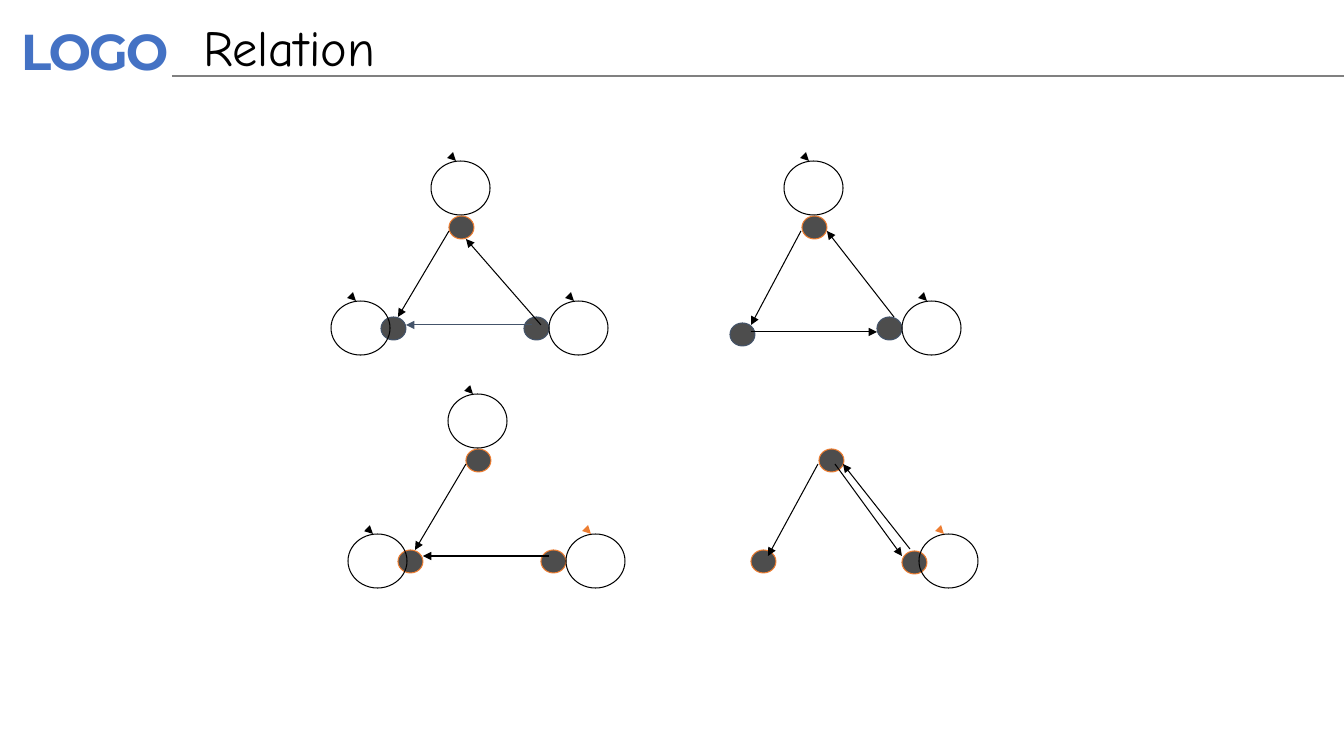
import pptx
import pptx.util
import pptx.dml.color
import pptx.enum.shapes
import pptx.enum.text
import pptx.oxml.ns
import lxml.etree

COLORS = {"blue": "4472C4", "rule": "808080", "black": "000000",
          "node": "4D4D4D", "orange": "ED7D31", "slate": "44546A"}
SCALE = 914400 / 100.8
NODE = (25, 23)
LOOP = (59, 54)
TIP = 25
LOOPS = {"top": (100, 0), "left": (0, 140), "right": (218, 140)}
TOP = (118, 55)

GRAPHS = [
    {"at": (331, 161),
     "nodes": [(TOP, "orange"), ((50, 156), "slate"), ((193, 156), "slate")],
     "loops": [("top", "black"), ("left", "black"), ("right", "black")],
     "arrows": [(118, 70, 67, 156, "black"), (201, 164, 75, 164, "slate"),
                (210, 164, 135, 78, "black")]},
    {"at": (684, 161),
     "nodes": [(TOP, "orange"), ((46, 162), "slate"), ((193, 156), "slate")],
     "loops": [("top", "black"), ("right", "black")],
     "arrows": [(117, 70, 67, 164, "black"), (210, 156, 143, 70, "black"),
                (67, 171, 193, 171, "black")]},
    {"at": (348, 394),
     "nodes": [(TOP, "orange"), ((50, 156), "orange"), ((193, 156), "orange")],
     "loops": [("top", "black"), ("left", "black"), ("right", "orange")],
     "arrows": [(118, 70, 67, 156, "black"), (201, 162, 75, 162, "black")]},
    {"at": (701, 394),
     "nodes": [(TOP, "orange"), ((50, 156), "orange"), ((201, 157), "orange")],
     "loops": [("right", "orange")],
     "arrows": [(134, 70, 201, 162, "black"), (117, 70, 67, 162, "black"),
                (209, 155, 142, 70, "black")]},
]


def px(*sizes):
    return [round(size * SCALE) for size in sizes]


def paint(name):
    return pptx.dml.color.RGBColor.from_string(COLORS[name])


def add_line(slide, ends, color, width=0.75, head=True):
    line = slide.shapes.add_connector(
        pptx.enum.shapes.MSO_CONNECTOR.STRAIGHT, *px(*ends))
    line.line.color.rgb = paint(color)
    line.line.width = pptx.util.Pt(width)
    qn = pptx.oxml.ns.qn
    if head:
        stroke = line.line._get_or_add_ln()
        lxml.etree.SubElement(stroke, qn("a:tailEnd")).set("type", "triangle")
    lxml.etree.SubElement(line._element.spPr, qn("a:effectLst"))


def add_ring(slide, x, y, size, edge, fill=None):
    ring = slide.shapes.add_shape(
        pptx.enum.shapes.MSO_SHAPE.OVAL, *px(x, y, *size))
    ring.shadow.inherit = False
    if fill:
        ring.fill.solid()
        ring.fill.fore_color.rgb = paint(fill)
    else:
        ring.fill.background()
    ring.line.color.rgb = paint(edge)
    ring.line.width = pptx.util.Pt(0.75)


def set_text(shape, text, face, color, bold):
    frame = shape.text_frame
    frame.text = text
    frame.word_wrap = True
    frame.auto_size = pptx.enum.text.MSO_AUTO_SIZE.NONE
    para = frame.paragraphs[0]
    para.alignment = pptx.enum.text.PP_ALIGN.LEFT
    para.font.name = face
    para.font.size = pptx.util.Pt(36)
    para.font.bold = bold
    para.font.color.rgb = paint(color)
    return frame


def add_graph(slide, graph):
    left, top = graph["at"]
    for (x, y), edge in graph["nodes"]:
        add_ring(slide, left + x, top + y, NODE, edge, "node")
    for side, color in graph["loops"]:
        x, y = left + LOOPS[side][0], top + LOOPS[side][1]
        add_ring(slide, x, y, LOOP, "black")
        add_line(slide, (x + TIP - 1, y - 1, x + TIP, y), color)
    for x1, y1, x2, y2, color in graph["arrows"]:
        add_line(slide, (left + x1, top + y1, left + x2, top + y2), color)


def main():
    deck = pptx.Presentation()
    deck.slide_width, deck.slide_height = px(1344, 756)
    slide = deck.slides.add_slide(deck.slide_layouts[5])

    title = slide.shapes.title
    title.left, title.top, title.width, title.height = px(193, 10, 635, 72)
    frame = set_text(title, "Relation", "Comic Neue", "black", False)
    frame.vertical_anchor = pptx.enum.text.MSO_ANCHOR.MIDDLE

    logo = slide.shapes.add_textbox(*px(8, 13, 187, 75))
    frame = set_text(logo, "LOGO", "Montserrat", "blue", True)
    frame.margin_left, frame.margin_right = px(13, 13)
    frame.margin_top, frame.margin_bottom = px(7, 7)
    frame.paragraphs[0].runs[0]._r.get_or_add_rPr().set("spc", "-150")

    add_line(slide, (172, 76, 1344, 76), "rule", 2, False)
    for graph in GRAPHS:
        add_graph(slide, graph)
    deck.save("out.pptx")


if __name__ == "__main__":
    main()
